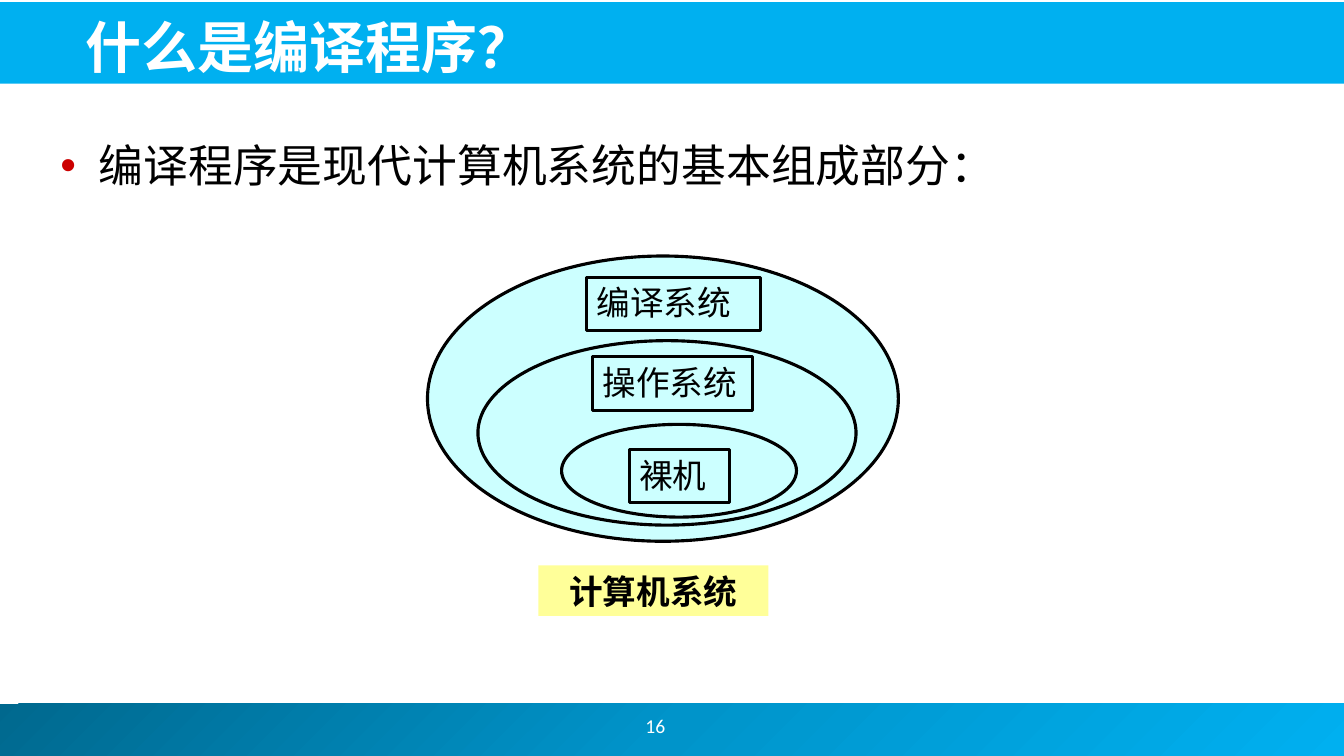
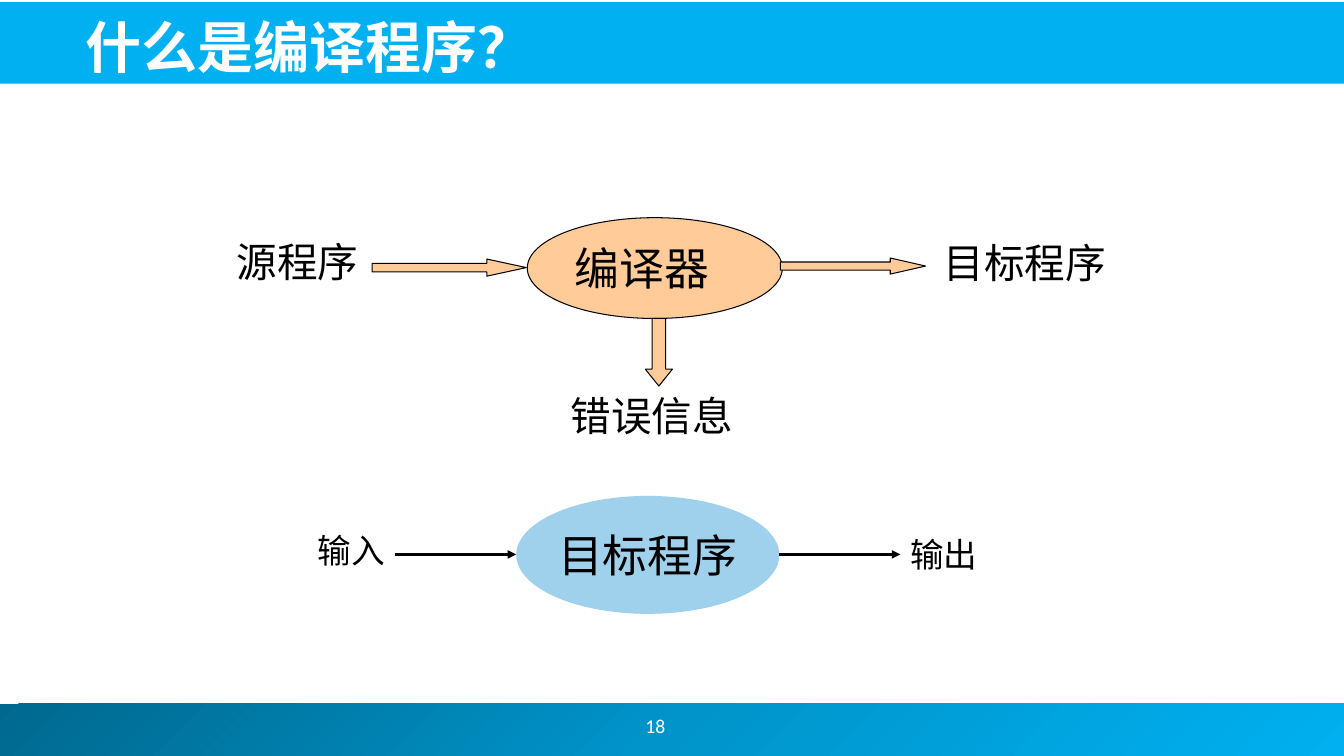
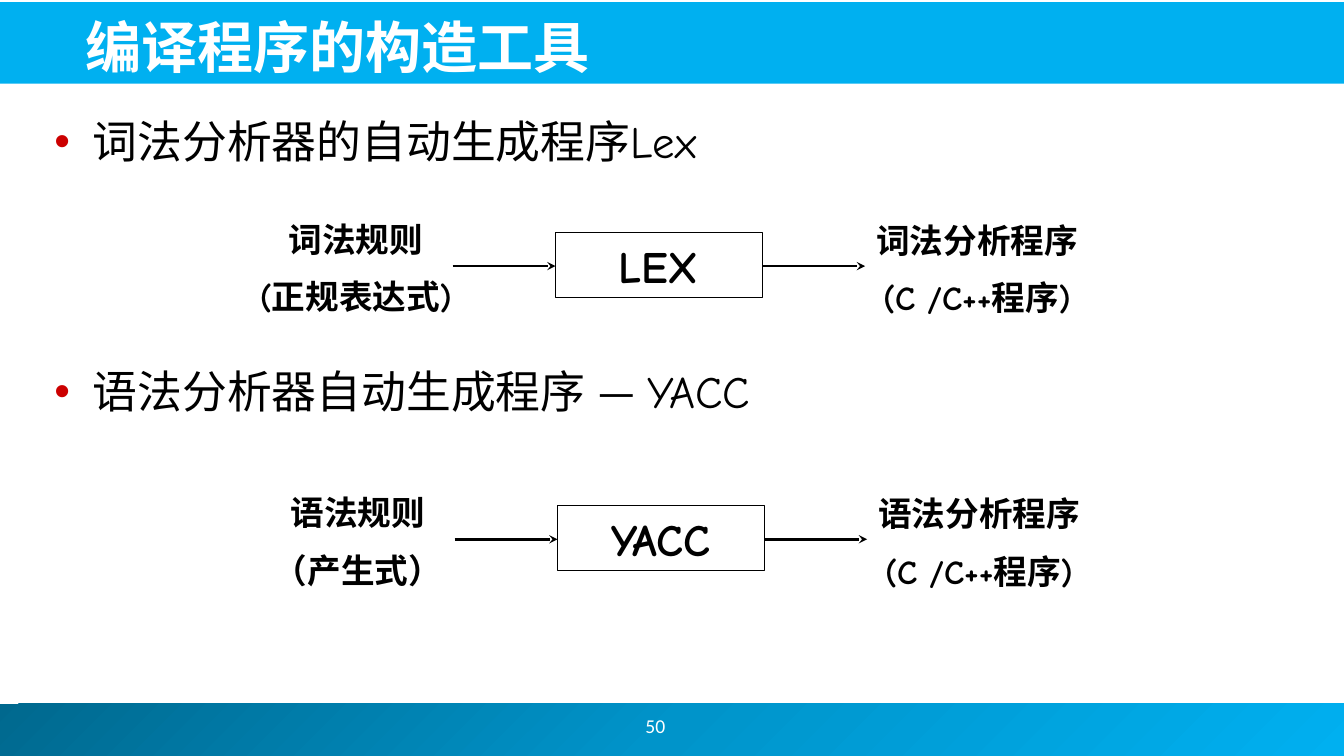
from dataclasses import dataclass

from lxml import etree
from pptx import Presentation
from pptx.dml import color
from pptx.enum import shapes, text
from pptx.oxml import ns
from pptx.util import Inches, Pt

KIND = shapes.MSO_SHAPE
TOP, MIDDLE, BOTTOM = (text.MSO_ANCHOR.TOP, text.MSO_ANCHOR.MIDDLE,
                       text.MSO_ANCHOR.BOTTOM)
LEFT, CENTER = text.PP_ALIGN.LEFT, text.PP_ALIGN.CENTER


@dataclass(frozen=True)
class Theme:
    black: str = "000000"
    white: str = "FFFFFF"
    band: str = "00B0F0"
    footer_stops: tuple = ((0, "00688E"), (50, "0094CA"), (100, "00B0F0"))
    bullet: str = "CC0000"
    layer: str = "CCFFFF"
    caption: str = "FFFF99"
    compiler: str = "FFCC99"
    target: str = "9FD0EC"
    sans: str = "Noto Sans CJK JP"
    comic: str = "Comic Neue"
    serif: str = "Times New Roman"
    round_sans: str = "Open Sans"
    number: str = "Calibri"
    east_asian: str = "Calibri"
    title_size: int = 40
    body_size: int = 32
    flow_size: int = 29
    label_size: int = 24
    number_size: int = 14


THEME = Theme()


def rgb(value):
    return color.RGBColor.from_string(value)


def add_child(parent, tag, **attributes):
    return etree.SubElement(parent, ns.qn(tag), attributes)


def write(shape, words, size=THEME.label_size, font=THEME.sans, ink=THEME.black,
          bold=False, align=LEFT, anchor=TOP, wrap=True, gap=0):
    """Fill a shape with text; gap is the space between paragraphs in points."""
    frame = shape.text_frame
    frame.text = words
    frame.word_wrap = wrap
    frame.vertical_anchor = anchor
    for index, para in enumerate(frame.paragraphs):
        para.alignment = align
        if index and gap:
            para.space_before = Pt(gap)
        for span in para.runs:
            span.font.size = Pt(size)
            span.font.bold = bold
            span.font.color.rgb = rgb(ink)
            span.font.name = font
            span.font.language_id = None
            properties = span.font._element
            properties.set("lang", "zh-CN")
            add_child(properties, "a:ea", typeface=THEME.east_asian)
    return shape


def add_text(page, box, words, **style):
    return write(page.shapes.add_textbox(*map(Inches, box)), words, **style)


def add_figure(page, kind, box, fill=None, line=None, width=0.75):
    figure = page.shapes.add_shape(kind, *map(Inches, box))
    figure.shadow.inherit = False
    if fill:
        figure.fill.solid()
        figure.fill.fore_color.rgb = rgb(fill)
    else:
        figure.fill.background()
    if line:
        figure.line.color.rgb = rgb(line)
        figure.line.width = Pt(width)
    else:
        figure.line.fill.background()
    return figure


def add_arrow(page, left, right, y, head):
    arrow = page.shapes.add_connector(
        shapes.MSO_CONNECTOR.STRAIGHT, *map(Inches, (left, y, right, y)))
    arrow.line.color.rgb = rgb(THEME.black)
    arrow.line.width = Pt(2)
    add_child(arrow.line._get_or_add_ln(), "a:tailEnd", type=head)
    add_child(arrow._element.spPr, "a:effectLst")


def add_block_arrow(page, kind, box, head):
    arrow = add_figure(page, kind, box, THEME.compiler, THEME.black)
    arrow.adjustments[0] = 0.5
    arrow.adjustments[1] = head


def add_bullet(page, box, words, font=THEME.sans):
    bullet = add_text(page, box, words, size=THEME.body_size, font=font)
    properties = bullet.text_frame.paragraphs[0]._p.get_or_add_pPr()
    indent = Inches(0.38)
    properties.set("marL", str(indent))
    properties.set("indent", str(-indent))
    tint = add_child(properties, "a:buClr")
    add_child(tint, "a:srgbClr", val=THEME.bullet)
    add_child(properties, "a:buFont", typeface="Arial")
    add_child(properties, "a:buChar", char="•")


def add_footer_band(page):
    footer = add_figure(page, KIND.RECTANGLE, (-0.05, 6.98, 13.39, 0.52))
    footer.fill.gradient()
    footer.fill.gradient_angle = 315
    stops = footer._element.spPr.find(".//" + ns.qn("a:gsLst"))
    for stop in list(stops):
        stops.remove(stop)
    for position, value in THEME.footer_stops:
        stop = add_child(stops, "a:gs", pos=str(position * 1000))
        add_child(stop, "a:srgbClr", val=value)


def add_page(deck, title, number):
    """Add a page with the bands, title and page number that all share."""
    page = deck.slides.add_slide(deck.slide_layouts[6])
    add_footer_band(page)
    add_figure(page, KIND.RECTANGLE, (-0.02, 0.02, 13.36, 0.81), THEME.band)
    add_text(page, (5.2, 6.95, 2.6, 0.5), number, size=THEME.number_size,
             font=THEME.number, ink=THEME.white, align=CENTER, anchor=MIDDLE)
    add_text(page, (0.75, 0.05, 12.14, 0.79), title, size=THEME.title_size,
             ink=THEME.white, bold=True, anchor=BOTTOM)
    return page


def system_layers(page, left, top):
    """Nested layers of a computer system, with a caption below."""
    rings = ((0, 0, 4.67, 2.83), (0.5, 0.84, 3.75, 1.83), (1.33, 1.67, 2.33, 0.92))
    labels = (("操作系统", 1.64, 1, 1.58), ("编译系统", 1.58, 0.21, 1.72),
              ("裸机", 2, 1.92, 1))
    for x, y, width, height in rings:
        add_figure(page, KIND.OVAL, (left + x, top + y, width, height),
                   THEME.layer, THEME.black, 2.25)
    for words, x, y, width in labels:
        label = add_figure(page, KIND.RECTANGLE, (left + x, top + y, width, 0.53),
                           THEME.layer, THEME.black, 2.25)
        write(label, words)
    caption = add_figure(page, KIND.RECTANGLE, (left + 1.1, top + 3.07, 2.28, 0.5),
                         THEME.caption)
    write(caption, "计算机系统", bold=True, align=CENTER, anchor=BOTTOM)


def compile_flow(page, left, top):
    """Source program through the compiler to target program and errors."""
    compiler = add_figure(page, KIND.OVAL, (left + 2.98, top, 2.53, 1),
                          THEME.compiler, THEME.black)
    write(compiler, "编译器", size=THEME.body_size, font=THEME.round_sans,
          anchor=MIDDLE)
    for words, x, y, width in (("源程序", 0, 0.14, 1.53),
                               ("目标程序", 7.01, 0.15, 2.16),
                               ("错误信息", 3.31, 1.67, 1.89)):
        add_text(page, (left + x, top + y, width, 0.59), words,
                 size=THEME.flow_size, font=THEME.serif)
    for kind, x, y, width, height, head in (
            (KIND.RIGHT_ARROW, 1.44, 0.41, 1.53, 0.17, 2.3),
            (KIND.RIGHT_ARROW, 5.49, 0.4, 1.44, 0.16, 2.19),
            (KIND.DOWN_ARROW, 4.15, 1, 0.27, 0.67, 0.62)):
        add_block_arrow(page, kind, (left + x, top + y, width, height), head)


def run_flow(page, left, top):
    """Input through the target program to output."""
    target = add_figure(page, KIND.OVAL, (left + 2.07, top, 2.61, 1.17), THEME.target)
    write(target, "目标程序", size=THEME.body_size, align=CENTER, anchor=MIDDLE,
          wrap=False)
    for x in (0.87, 4.68):
        add_arrow(page, left + x, left + x + 1.2, top + 0.58, "triangle")
    for words, x, y in (("输入", 0, 0.29), ("输出", 5.88, 0.33)):
        add_text(page, (left + x, top + y, 0.88, 0.5), words, wrap=False)


def tool_flow(page, left, top, rules, tool, result):
    """Rules through a generator tool to the program it produces."""
    label = dict(font=THEME.comic, bold=True, align=CENTER, anchor=BOTTOM)
    add_text(page, (left, top, 2.72, 1.11), rules, gap=12, **label)
    add_text(page, (left + 6.26, top + 0.01, 2.52, 1.11), result, gap=12, **label)
    generator = add_figure(page, KIND.RECTANGLE, (left + 3.34, top + 0.23, 2.05, 0.64),
                           line=THEME.black)
    write(generator, tool, size=THEME.body_size, **label)
    for x in (2.32, 5.39):
        add_arrow(page, left + x, left + x + 1.02, top + 0.56, "stealth")


def layers_page(deck):
    page = add_page(deck, "什么是编译程序？", "16")
    add_bullet(page, (0.5, 1.32, 9.19, 1.09), "编译程序是现代计算机系统的基本组成部分：")
    system_layers(page, 4.24, 2.54)


def flows_page(deck):
    page = add_page(deck, "什么是编译程序？", "18")
    compile_flow(page, 2.25, 2.16)
    run_flow(page, 3.05, 4.92)


def tools_page(deck):
    page = add_page(deck, "编译程序的构造工具", "50")
    for top, words in ((1.08, "词法分析器的自动生成程序Lex"),
                       (3.56, "语法分析器自动生成程序 — YACC")):
        add_bullet(page, (0.44, top, 12.44, 0.7), words, THEME.comic)
    tool_flow(page, 2.17, 2.08, "词法规则\n(正规表达式)", "LEX",
              "词法分析程序\n(C /C++程序)")
    tool_flow(page, 2.19, 4.79, "语法规则\n（产生式）", "YACC",
              "语法分析程序\n(C /C++程序)")


def main():
    deck = Presentation()
    deck.slide_width, deck.slide_height = Inches(13.33), Inches(7.5)
    for build in (layers_page, flows_page, tools_page):
        build(deck)
    deck.save("out.pptx")


if __name__ == "__main__":
    main()
